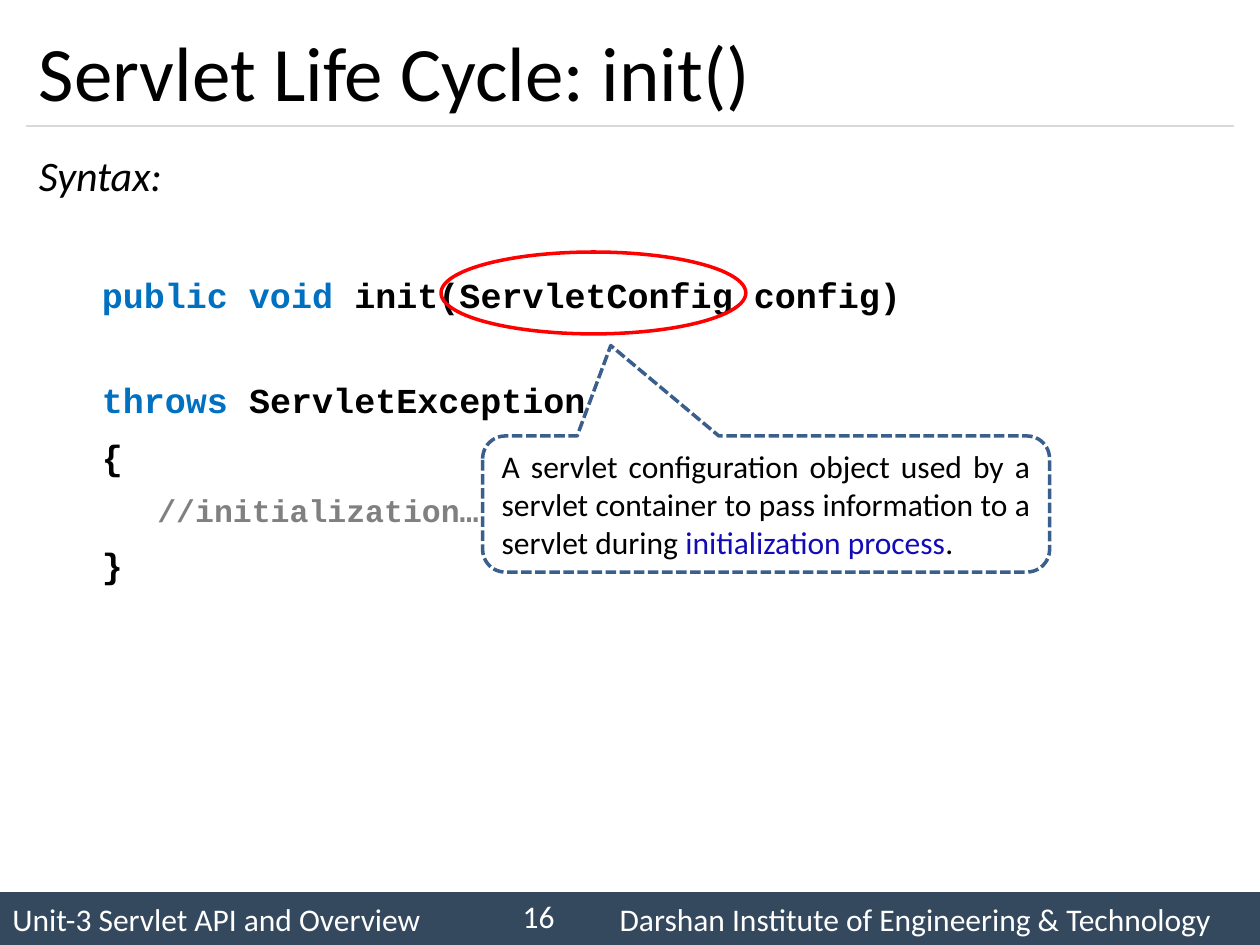
from dataclasses import dataclass

from pptx import Presentation
from pptx.dml.color import RGBColor
from pptx.enum.dml import MSO_LINE
from pptx.enum.shapes import MSO_CONNECTOR, MSO_SHAPE
from pptx.enum.text import MSO_ANCHOR as ANCHOR, PP_ALIGN as ALIGN
from pptx.oxml.ns import qn
from pptx.util import Pt


@dataclass(frozen=True)
class Theme:
    """Colours, fonts and type sizes of the slide."""
    ink: str = "000000"
    paper: str = "FFFFFF"
    bar: str = "34495E"
    rule: str = "D9D9D9"
    keyword: str = "0070C0"
    comment: str = "808080"
    accent: str = "130BB5"
    callout: str = "3A5F8C"
    ring: str = "FF0000"
    sans: str = "Calibri"
    mono: str = "Courier New"
    title: int = 44
    lead: int = 24
    code: int = 20
    small: int = 18


T = Theme()


def add_run(p, text, size, color=T.ink, font=T.sans, bold=False, italic=False):
    """Append a formatted run to a paragraph."""
    r = p.add_run()
    r.text = text
    r.font.size, r.font.name = Pt(size), font
    r.font.bold, r.font.italic = bold, italic
    r.font.color.rgb = RGBColor.from_string(color)


def add_text(slide, box, anchor=ANCHOR.MIDDLE, align=ALIGN.LEFT):
    """Add a wrapping text box and return its text frame."""
    tf = slide.shapes.add_textbox(*map(Pt, box)).text_frame
    tf.word_wrap, tf.vertical_anchor = True, anchor
    tf.paragraphs[0].alignment = align
    return tf


def add_outline(slide, kind, box, color):
    """Add an unfilled shape with a 2 pt outline."""
    sp = slide.shapes.add_shape(kind, *map(Pt, box))
    sp.shadow.inherit = False
    sp.fill.background()
    sp.line.color.rgb = RGBColor.from_string(color)
    sp.line.width = Pt(2)
    return sp


def add_header(slide, box, text):
    """Place the title with a rule along the bottom of the box."""
    x, y, w, h = box
    add_run(add_text(slide, box).paragraphs[0], text, T.title)
    line = slide.shapes.add_connector(
        MSO_CONNECTOR.STRAIGHT, Pt(x), Pt(y + h), Pt(x + w), Pt(y + h))
    line.line.color.rgb = RGBColor.from_string(T.rule)
    line.line.width = Pt(0.75)
    pr = line._element.spPr
    pr.append(pr.makeelement(qn("a:effectLst"), {}))


def add_syntax(slide, box, lead, lines):
    """Place the lead word and the indented code lines below it."""
    tf = add_text(slide, box, ANCHOR.TOP)
    p = tf.paragraphs[0]
    p.line_spacing = 1.14
    add_run(p, lead, T.lead, italic=True)
    for indent, before, size, runs in lines:
        p = tf.add_paragraph()
        p.line_spacing, p.space_before = 1.14, Pt(before)
        p._p.get_or_add_pPr().set("marL", str(Pt(indent)))
        for text, color in runs:
            add_run(p, text, size, color, T.mono, bold=True)


def add_callout(slide, box, runs):
    """Place the dashed speech bubble with its explanation."""
    sp = add_outline(slide, MSO_SHAPE.ROUNDED_RECTANGULAR_CALLOUT, box, T.callout)
    sp.line.dash_style = MSO_LINE.SQUARE_DOT
    for i, value in enumerate((-0.274, -1.164, 0.167)):
        sp.adjustments[i] = value
    tf = sp.text_frame
    tf.word_wrap, tf.vertical_anchor = True, ANCHOR.MIDDLE
    p = tf.paragraphs[0]
    p.alignment = ALIGN.JUSTIFY
    for text, color in runs:
        add_run(p, text, T.small, color)


def add_footer(slide, box, unit, number, institute):
    """Place the footer bar with unit, page number and institute."""
    x, y, w, h = box
    bar = slide.shapes.add_shape(MSO_SHAPE.RECTANGLE, *map(Pt, box))
    bar.shadow.inherit = False
    bar.fill.solid()
    bar.fill.fore_color.rgb = RGBColor.from_string(T.bar)
    bar.line.fill.background()
    parts = (
        (unit, (x, y, 270, h), ALIGN.LEFT),
        (number, (x + 275.8, y - 0.7, 48.2, 28.8), ALIGN.RIGHT),
        (institute, (x + 347, y, w - 347, h), ALIGN.LEFT),
    )
    for text, area, align in parts:
        tf = add_text(slide, area, align=align)
        add_run(tf.paragraphs[0], text, T.small, T.paper)


def main():
    """Build and save the slide."""
    prs = Presentation()
    prs.slide_width, prs.slide_height = Pt(720), Pt(540)
    slide = prs.slides.add_slide(prs.slide_layouts[6])
    add_footer(slide, (0, 509.8, 720, 30.2), "Unit-3 Servlet API and Overview",
               "16", "Darshan Institute of Engineering & Technology")
    add_header(slide, (15.1, 8.6, 689.8, 63.4), "Servlet Life Cycle: init()")
    add_syntax(slide, (15.1, 77.8, 689.8, 419.8), "Syntax:", (
        (36, 38.5, T.code, (("public void ", T.keyword),
                            ("init(ServletConfig config)", T.ink))),
        (36, 33, T.code, (("throws ", T.keyword), ("ServletException", T.ink))),
        (36, 5, T.code, (("{", T.ink),)),
        (67.7, 5, T.small, (("//initialization…", T.comment),)),
        (36, 5, T.code, (("}", T.ink),)),
    ))
    add_callout(slide, (275.8, 249.1, 324, 77.8), (
        ("A servlet configuration object used by a servlet container "
         "to pass information to a servlet during ", T.ink),
        ("initialization process", T.accent),
        (".", T.ink),
    ))
    add_outline(slide, MSO_SHAPE.OVAL, (252, 144, 174.2, 46.8), T.ring)
    prs.save("out.pptx")


if __name__ == "__main__":
    main()
